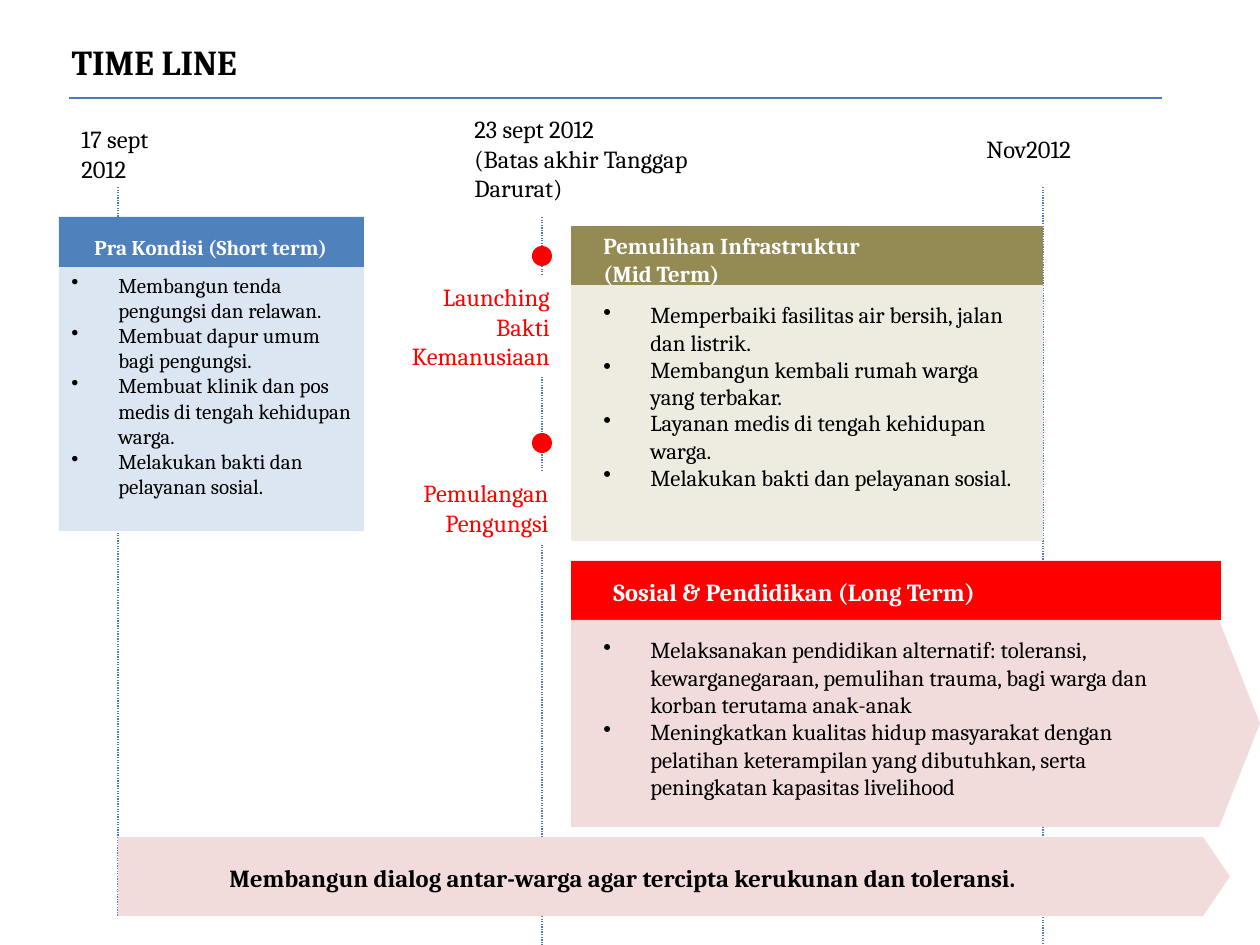
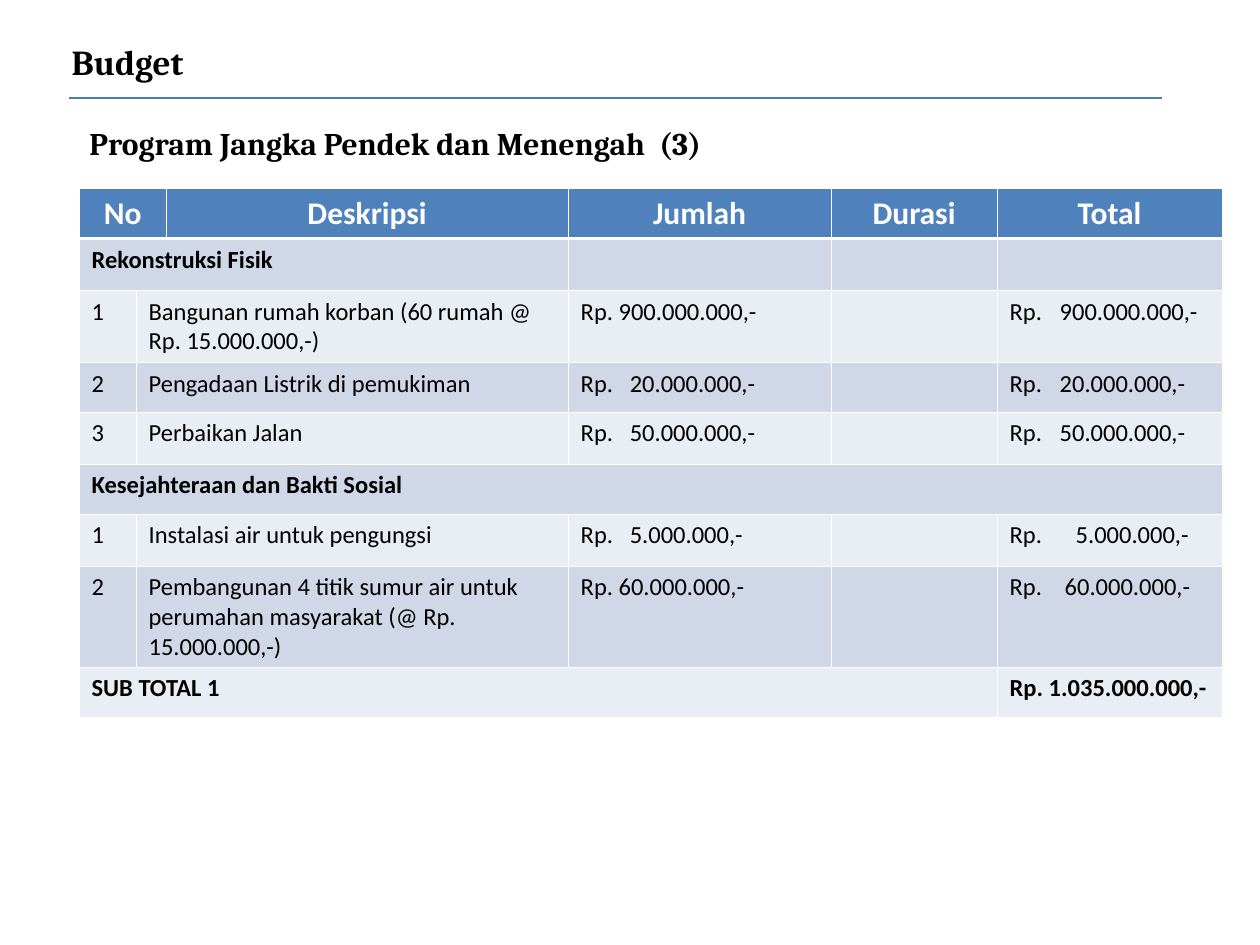
from lxml.etree import SubElement
from pptx import Presentation
from pptx.dml.color import RGBColor
from pptx.enum.dml import MSO_LINE
from pptx.enum.shapes import MSO_CONNECTOR, MSO_SHAPE
from pptx.enum.text import MSO_ANCHOR, MSO_AUTO_SIZE, PP_ALIGN
from pptx.oxml.ns import qn
from pptx.util import Emu, Pt

PX_PER_INCH = 126
COLORS = {
    "black": "000000", "white": "FFFFFF", "rule": "4A7EBB", "blue": "4F81BD",
    "pale_blue": "DCE6F2", "olive": "948A54", "cream": "EEECE1", "red": "FF0000",
    "pink": "F2DCDB", "band_dark": "D0D8E8", "band_light": "E9EDF4",
}
HEADING_FONT, TABLE_FONT = "Cambria", "Calibri"
BULLET_INDENT = 47

TITLES = ["TIME LINE", "Budget"]
TITLE_AREA = (59, 34, 522, 55)
TITLE_RULE = (69, 98, 1162, 98)

DATE_LINES = [(542, 217, 542, 945), (118, 187, 118, 916), (1043, 187, 1043, 945)]
PANELS = [
    ((59, 266, 305, 265), "pale_blue"), ((59, 217, 305, 50), "blue"),
    ((571, 285, 472, 256), "cream"), ((571, 226, 472, 59), "olive"),
    ((571, 561, 650, 59), "red"),
]
ARROWS = [((118, 837, 1112, 79), 27), ((571, 620, 689, 207), 41)]
EVENTS = [
    ((394, 276, 168, 101), "Launching Bakti Kemanusiaan", 246),
    ((403, 472, 158, 72), "Pemulangan Pengungsi", 433),
]
DOT_LEFT, DOT_SIZE = 532, 20
DATES = [
    ((69, 118, 142, 43), ["17 sept 2012"], False),
    ((462, 108, 246, 101), ["23 sept 2012", "(Batas akhir Tanggap Darurat)"], True),
    ((974, 128, 178, 43), ["Nov2012"], True),
]
HEADINGS = [
    ((82, 228, 258, 38), ["Pra Kondisi (Short term)"], 12, "white", False),
    ((591, 226, 483, 68), ["Pemulihan Infrastruktur", "(Mid Term)"], 13, "white", True),
    ((601, 571, 630, 43), ["Sosial & Pendidikan (Long Term)"], 14, "white", True),
    ((217, 857, 1033, 43),
     ["Membangun dialog antar-warga agar tercipta kerukunan dan toleransi."], 14, "black", True),
]
ACTIVITIES = [
    ((59, 266, 305, 265), 12, [
        "Membangun tenda pengungsi dan relawan.",
        "Membuat dapur umum bagi pengungsi.",
        "Membuat klinik dan pos medis di tengah kehidupan warga.",
        "Melakukan bakti dan pelayanan sosial."]),
    ((591, 295, 433, 122), 13, [
        "Memperbaiki fasilitas air bersih, jalan dan listrik.",
        "Membangun kembali rumah warga yang terbakar."]),
    ((591, 403, 433, 122), 13, [
        "Layanan medis di tengah kehidupan warga.",
        "Melakukan bakti dan pelayanan sosial."]),
    ((591, 630, 591, 176), 13, [
        "Melaksanakan pendidikan alternatif: toleransi, kewarganegaraan, pemulihan trauma, "
        "bagi warga dan korban terutama anak-anak",
        "Meningkatkan kualitas hidup masyarakat dengan pelatihan keterampilan yang dibutuhkan, "
        "serta peningkatan kapasitas livelihood"]),
]

SUBTITLE = "Program Jangka Pendek dan Menengah\t(3)"
SUBTITLE_AREA, SUBTITLE_TAB = (77, 118, 639, 50), 570
TABLE_LEFT, TABLE_TOP = 79, 188
COLUMN_WIDTHS = [57, 29, 402, 263, 166, 225]
ROW_HEIGHTS = [50, 52, 72, 50, 52, 50, 52, 101, 50]
NUMBER, DESCRIPTION, AMOUNT, DURATION, TOTAL = 0, 1, 3, 4, 5
HEADER = [(0, 2, "No"), (2, 1, "Deskripsi"), (AMOUNT, 1, "Jumlah"),
          (DURATION, 1, "Durasi"), (TOTAL, 1, "Total")]


def item(number, description, amount, total, total_tab=50):
    return [(NUMBER, 1, number), (DESCRIPTION, 2, description), (AMOUNT, 1, amount),
            (DURATION, 1, ""), (TOTAL, 1, total, total_tab)]


BUDGET = [
    (True, [(0, 3, "Rekonstruksi Fisik"), (AMOUNT, 1, ""), (DURATION, 1, ""), (TOTAL, 1, "")]),
    (False, item("1", "Bangunan rumah korban (60 rumah @ Rp. 15.000.000,-)",
                 "Rp. 900.000.000,-", "Rp.\t900.000.000,-")),
    (False, item("2", "Pengadaan Listrik di pemukiman",
                 "Rp.\t20.000.000,-", "Rp.\t20.000.000,-")),
    (False, item("3", "Perbaikan Jalan", "Rp.\t50.000.000,-", "Rp.\t50.000.000,-")),
    (True, [(0, 6, "Kesejahteraan dan Bakti Sosial")]),
    (False, item("1", "Instalasi air untuk pengungsi",
                 "Rp.\t5.000.000,-", "Rp.\t5.000.000,-", 66)),
    (False, item("2", "Pembangunan 4 titik sumur air untuk perumahan masyarakat (@ Rp. 15.000.000,-)",
                 "Rp. 60.000.000,-", "Rp.\t60.000.000,-", 55)),
    (True, [(0, 5, "SUB TOTAL 1"), (TOTAL, 1, "Rp. 1.035.000.000,-")]),
]
BUDGET[0][1][0] = (0, 3, "Rekonstruksi Fisik")


def px(length):
    return Emu(round(length * 914400 / PX_PER_INCH))


def place(area):
    return [px(length) for length in area]


def rgb(name):
    return RGBColor.from_string(COLORS[name])


def write(frame, lines, size, color="black", bold=False, font=HEADING_FONT,
          align=PP_ALIGN.LEFT, bullets=False, tab=None):
    for index, line in enumerate(lines):
        para = frame.paragraphs[0] if index == 0 else frame.add_paragraph()
        para.alignment = align
        properties = para._p.get_or_add_pPr()
        if bullets:
            properties.set("marL", str(px(BULLET_INDENT)))
            properties.set("indent", str(-px(BULLET_INDENT)))
            SubElement(properties, qn("a:buChar"), char="•")
        if tab and "\t" in line:
            stops = SubElement(properties, qn("a:tabLst"))
            SubElement(stops, qn("a:tab"), pos=str(px(tab)), algn="l")
        para.font.size = Pt(size)
        if line:
            span = para.add_run()
            span.text = line
            span.font.name, span.font.size, span.font.bold = font, Pt(size), bold
            span.font.color.rgb = rgb(color)


def add_text(page, area, lines, size, wrap=True, **style):
    box = page.shapes.add_textbox(*place(area))
    box.text_frame.word_wrap = wrap
    write(box.text_frame, lines, size, **style)


def paint(shape, color):
    shape.shadow.inherit = False
    shape.fill.solid()
    shape.fill.fore_color.rgb = rgb(color)
    shape.line.fill.background()


def add_block(page, area, color, kind=MSO_SHAPE.RECTANGLE):
    shape = page.shapes.add_shape(kind, *place(area))
    paint(shape, color)
    return shape


def add_arrow(page, area, tip):
    left, top, width, height = area
    right, bottom = left + width, top + height
    corners = [(right - tip, top), (right, top + height / 2), (right - tip, bottom), (left, bottom)]
    builder = page.shapes.build_freeform(px(left), px(top))
    builder.add_line_segments([(px(x), px(y)) for x, y in corners])
    paint(builder.convert_to_shape(), "pink")


def add_rule(page, ends, dash=None):
    line = page.shapes.add_connector(MSO_CONNECTOR.STRAIGHT, *place(ends))
    line.line.color.rgb = rgb("rule")
    line.line.width = Pt(0.75)
    if dash:
        line.line.dash_style = dash
    SubElement(line._element.spPr, qn("a:effectLst"))


def add_page(deck, title):
    page = deck.slides.add_slide(deck.slide_layouts[5])
    holder = page.shapes.title
    holder.left, holder.top, holder.width, holder.height = place(TITLE_AREA)
    frame = holder.text_frame
    frame.word_wrap = True
    frame.auto_size = MSO_AUTO_SIZE.NONE
    frame.vertical_anchor = MSO_ANCHOR.TOP
    write(frame, [title], 20, bold=True)
    add_rule(page, TITLE_RULE)
    return page


def build_timeline(page):
    for ends in DATE_LINES:
        add_rule(page, ends, MSO_LINE.ROUND_DOT)
    for area, color in PANELS:
        add_block(page, area, color)
    for area, tip in ARROWS:
        add_arrow(page, area, tip)
    for area, label, dot_top in EVENTS:
        add_block(page, (DOT_LEFT, dot_top, DOT_SIZE, DOT_SIZE), "red", MSO_SHAPE.OVAL)
        frame = add_block(page, area, "white").text_frame
        frame.word_wrap = True
        frame.vertical_anchor = MSO_ANCHOR.TOP
        write(frame, [label], 14, "red", align=PP_ALIGN.RIGHT)
    for area, lines, wrap in DATES:
        add_text(page, area, lines, 14, wrap)
    for area, lines, size, color, wrap in HEADINGS:
        add_text(page, area, lines, size, wrap, color=color, bold=True)
    for area, size, lines in ACTIVITIES:
        add_text(page, area, lines, size, bullets=True)


def style_cell(cell, fill, top, bottom):
    properties = cell._tc.get_or_add_tcPr()
    for side, width in (("L", 0.5), ("R", 0.5), ("T", top), ("B", bottom)):
        border = SubElement(properties, qn(f"a:ln{side}"), w=str(Pt(width)))
        solid = SubElement(border, qn("a:solidFill"))
        SubElement(solid, qn("a:srgbClr"), val=COLORS["white"])
    cell.fill.solid()
    cell.fill.fore_color.rgb = rgb(fill)


def build_budget(page):
    add_text(page, SUBTITLE_AREA, [SUBTITLE], 18, False, bold=True, tab=SUBTITLE_TAB)
    area = (TABLE_LEFT, TABLE_TOP, sum(COLUMN_WIDTHS), sum(ROW_HEIGHTS))
    table = page.shapes.add_table(len(ROW_HEIGHTS), len(COLUMN_WIDTHS), *place(area)).table
    for column, width in zip(table.columns, COLUMN_WIDTHS):
        column.width = px(width)
    for row, height in zip(table.rows, ROW_HEIGHTS):
        row.height = px(height)
    for index, (bold, entries) in enumerate([(True, HEADER)] + BUDGET):
        is_header = index == 0
        fill = "blue" if is_header else "band_dark" if index % 2 else "band_light"
        for cell in table.rows[index].cells:
            style_cell(cell, fill, 1.5 if index == 1 else 0.5, 1.5 if is_header else 0.5)
        for first, span, text, *tab in entries:
            cell = table.cell(index, first)
            if span > 1:
                cell.merge(table.cell(index, first + span - 1))
            write(cell.text_frame, [text], 18 if is_header else 14,
                  "white" if is_header else "black", bold, TABLE_FONT,
                  PP_ALIGN.CENTER if is_header else PP_ALIGN.LEFT, tab=tab[0] if tab else 49)


def main():
    deck = Presentation()
    deck.slide_width, deck.slide_height = px(1260), px(945)
    for title, build in zip(TITLES, (build_timeline, build_budget)):
        build(add_page(deck, title))
    deck.save("out.pptx")


if __name__ == "__main__":
    main()
